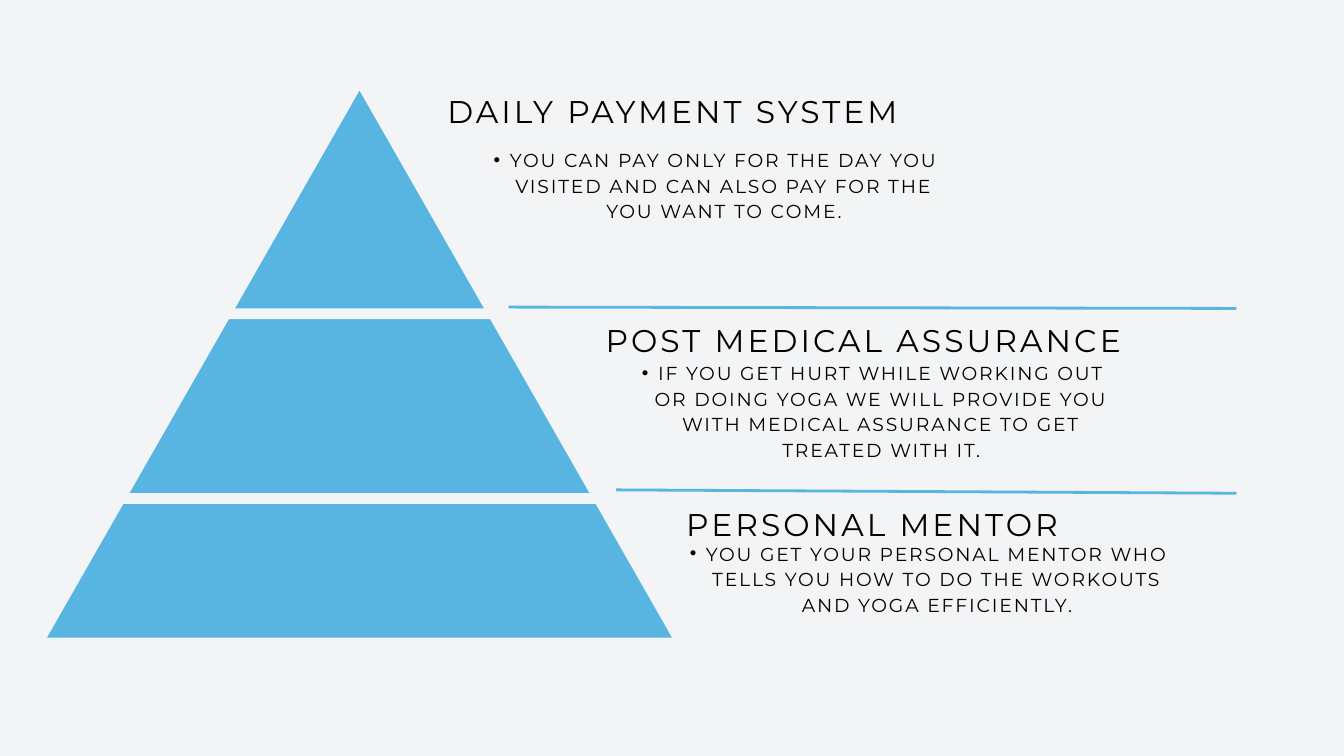
from dataclasses import dataclass

from lxml.etree import SubElement
from pptx import Presentation
from pptx.dml.color import RGBColor
from pptx.enum.shapes import MSO_CONNECTOR, MSO_SHAPE
from pptx.enum.text import MSO_AUTO_SIZE, PP_ALIGN
from pptx.oxml.ns import qn
from pptx.util import Inches, Pt


@dataclass(frozen=True)
class Theme:
    back: RGBColor = RGBColor(0xF2, 0xF4, 0xF5)
    blue: RGBColor = RGBColor(0x58, 0xB4, 0xE0)
    ink: RGBColor = RGBColor(0, 0, 0)
    font: str = "Montserrat"
    head: float = 33.6
    body: float = 20.1
    rule: float = 3


THEME = Theme()

# Each tier: heading, its box, body text, its box
TIERS = [
    ("DAILY PAYMENT SYSTEM", (6.1, 1.29, 7.82, 0.62),
     "YOU CAN PAY ONLY FOR THE DAY YOU VISITED AND CAN ALSO PAY FOR THE "
     "YOU WANT TO COME.", (6.83, 2.16, 7.42, 1.11)),
    ("POST MEDICAL ASSURANCE", (8.04, 4.69, 9.62, 0.62),
     "IF YOU GET HURT WHILE WORKING OUT OR DOING YOGA WE WILL PROVIDE YOU "
     "WITH MEDICAL ASSURANCE TO GET TREATED WITH IT.",
     (9.17, 5.33, 7.42, 1.48)),
    ("PERSONAL MENTOR", (9.71, 7.43, 6.54, 0.62),
     "YOU GET YOUR PERSONAL MENTOR WHO TELLS YOU HOW TO DO THE WORKOUTS "
     "AND YOGA EFFICIENTLY.", (10, 8.02, 7.42, 1.11)),
]
GAPS = [(1.41, 4.59), (1.12, 7.34)]
RULES = [(7.57, 4.57, 18.4, 4.59), (9.17, 7.29, 18.4, 7.34)]


def add_solid(slide, kind, box, color):
    shape = slide.shapes.add_shape(kind, *map(Inches, box))
    shape.shadow.inherit = False
    shape.fill.solid()
    shape.fill.fore_color.rgb = color
    shape.line.fill.background()


def add_bullet(para):
    para.level = 1
    props = para._p.get_or_add_pPr()
    props.set("marL", str(Inches(0.47)))
    props.set("indent", str(Inches(-0.24)))
    SubElement(props, qn("a:buFont")).set("typeface", "Arial")
    SubElement(props, qn("a:buChar")).set("char", "•")


def add_text(slide, text, box, *, size, lead, track, bullet=False):
    frame = slide.shapes.add_textbox(*map(Inches, box)).text_frame
    frame.word_wrap = True
    frame.auto_size = MSO_AUTO_SIZE.SHAPE_TO_FIT_TEXT
    frame.margin_left = frame.margin_right = 0
    frame.margin_top = frame.margin_bottom = 0
    para = frame.paragraphs[0]
    if bullet:
        add_bullet(para)
    para.alignment = PP_ALIGN.CENTER
    para.line_spacing = Pt(lead)
    run = para.add_run()
    run.text = text
    run.font.name = THEME.font
    run.font.size = Pt(size)
    run.font.color.rgb = THEME.ink
    run._r.get_or_add_rPr().set("spc", str(round(track * 100)))


def add_rule(slide, ends):
    line = slide.shapes.add_connector(MSO_CONNECTOR.STRAIGHT,
                                      *map(Inches, ends))
    line.line.color.rgb = THEME.blue
    line.line.width = Pt(THEME.rule)
    SubElement(line._element.spPr, qn("a:effectLst"))


def main():
    deck = Presentation()
    deck.slide_width, deck.slide_height = Inches(20), Inches(11.25)
    slide = deck.slides.add_slide(deck.slide_layouts[6])
    slide.background.fill.solid()
    slide.background.fill.fore_color.rgb = THEME.back

    # Pyramid, cut into tiers by bands in the background colour
    add_solid(slide, MSO_SHAPE.ISOSCELES_TRIANGLE, (0.7, 1.35, 9.3, 8.14),
              THEME.blue)
    for left, top in GAPS:
        add_solid(slide, MSO_SHAPE.RECTANGLE, (left, top, 8.59, 0.16),
                  THEME.back)

    # Tier texts
    for head, spot, body, area in TIERS:
        add_text(slide, head, spot, size=THEME.head, lead=46.4, track=3.3)
        add_text(slide, body, area, size=THEME.body, lead=27.7, track=2,
                 bullet=True)

    # Lines between the tiers
    for ends in RULES:
        add_rule(slide, ends)

    deck.save("out.pptx")


if __name__ == "__main__":
    main()
